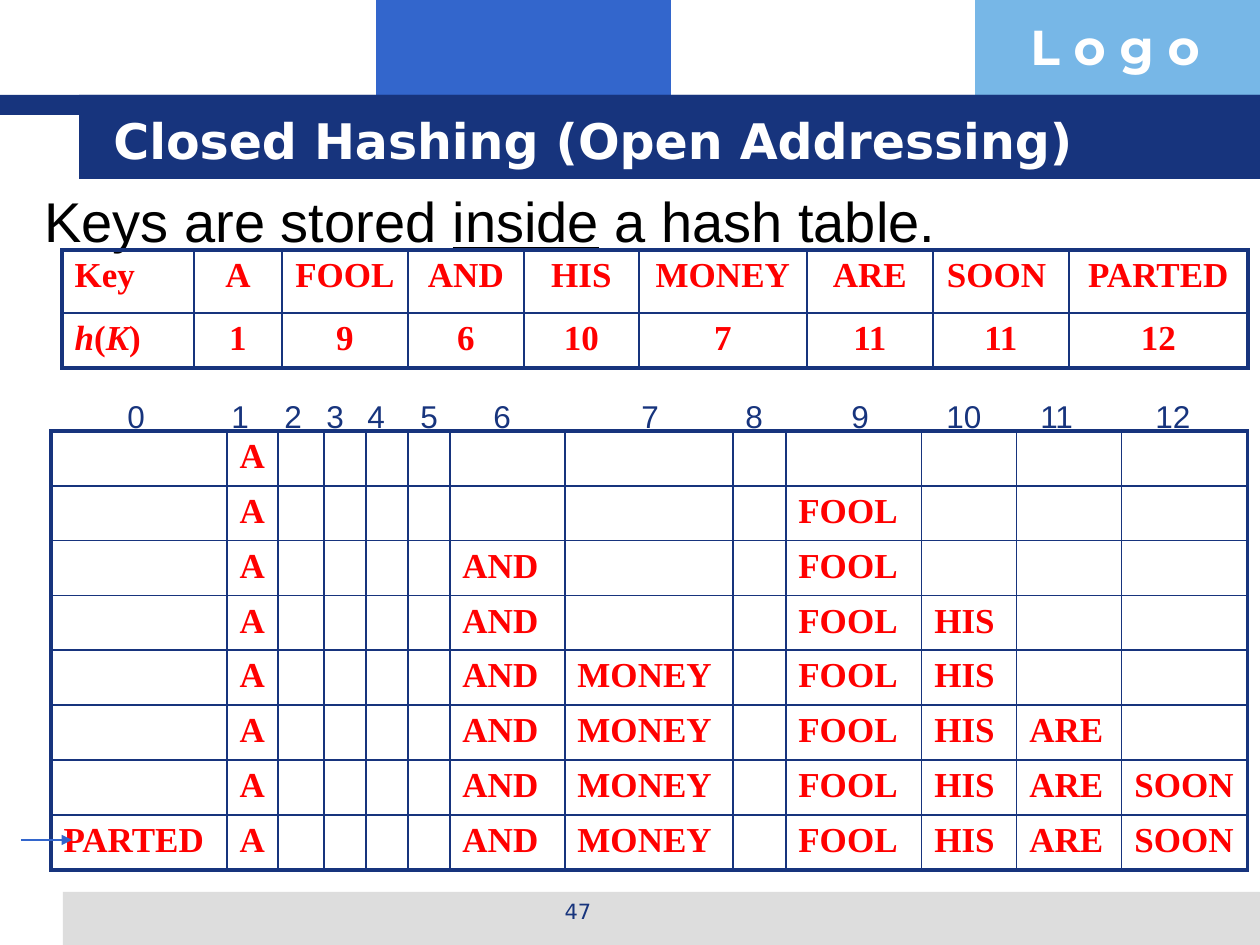
from dataclasses import dataclass

from lxml.etree import SubElement
from pptx import Presentation
from pptx.dml.color import RGBColor as Rgb
from pptx.enum.shapes import MSO_CONNECTOR as Connector, MSO_SHAPE as Shape
from pptx.enum.text import MSO_ANCHOR as Anchor, PP_ALIGN as Align
from pptx.oxml.ns import qn
from pptx.util import Emu, Pt


@dataclass(frozen=True)
class Theme:
    navy: str = "17347D"
    blue: str = "3366CC"
    sky: str = "77B7E7"
    grey: str = "DDDDDD"
    white: str = "FFFFFF"
    black: str = "000000"
    red: str = "FF0000"
    heading: str = "DejaVu Sans"
    logo: str = "Montserrat"
    body: str = "Arial"
    serif: str = "Times New Roman"
    title_size: int = 28
    body_size: int = 32
    cell_size: int = 20
    label_size: int = 18
    page_size: int = 12
    outer_line: float = 2.25
    inner_line: float = 1
    arrow_line: float = 0.75


THEME = Theme()
EMU_PER_PX = 914400 / 126
SLOTS = 13

HASHES = {"A": 1, "FOOL": 9, "AND": 6, "HIS": 10, "MONEY": 7,
          "ARE": 11, "SOON ": 11, "PARTED": 12}
KEY_COLUMNS = [132, 88, 126, 116, 115, 168, 126, 136, 179]
KEY_ROWS = [63, 55]
SLOT_COLUMNS = [176, 51, 46, 42, 42, 42, 115, 168, 53, 136, 95, 105, 126]
SLOT_ROWS = [55, 54, 55, 54, 55, 55, 54, 55]
LABEL_LEFTS = [115, 219, 272, 314, 355, 408, 481, 629, 733, 839, 934, 1028, 1143]


def px(length):
    return Emu(round(length * EMU_PER_PX))


def style(run, font, size, color, bold=False):
    run.font.name = font
    run.font.size = Pt(size)
    run.font.color.rgb = Rgb.from_string(color)
    run.font.bold = bold


def add_band(slide, left, top, width, height, color):
    band = slide.shapes.add_shape(Shape.RECTANGLE, *map(px, (left, top, width, height)))
    band.shadow.inherit = False
    band.fill.solid()
    band.fill.fore_color.rgb = Rgb.from_string(color)
    band.line.fill.background()


def add_text(slide, box, parts, font, size, color, bold=False,
             align=Align.LEFT, anchor=Anchor.TOP, top_inset=6):
    frame = slide.shapes.add_textbox(*map(px, box)).text_frame
    frame.word_wrap = True
    frame.vertical_anchor = anchor
    frame.margin_top = px(top_inset)
    paragraph = frame.paragraphs[0]
    paragraph.alignment = align
    for part in parts:
        run = paragraph.add_run()
        run.text = part
        style(run, font, size, color, bold)
    return paragraph


def set_borders(cell, widths):
    properties = cell._tc.get_or_add_tcPr()
    for side, width in zip(("lnL", "lnR", "lnT", "lnB"), widths):
        line = SubElement(properties, qn(f"a:{side}"), w=str(Pt(width)))
        fill = SubElement(line, qn("a:solidFill"))
        SubElement(fill, qn("a:srgbClr"), val=THEME.navy)


def fill_cell(cell, parts, align):
    paragraph = cell.text_frame.paragraphs[0]
    paragraph.alignment = align
    for part in parts:
        run = paragraph.add_run()
        run.text = part
        style(run, THEME.serif, THEME.cell_size, THEME.red, True)
        run.font.italic = part in ("h", "K")


def add_grid(slide, left, top, columns, rows, content, value_align):
    table = slide.shapes.add_table(
        len(rows), len(columns), px(left), px(top), px(sum(columns)), px(sum(rows))).table
    table.first_row = table.horz_banding = False
    for column, width in zip(table.columns, columns):
        column.width = px(width)
    for row, height in zip(table.rows, rows):
        row.height = px(height)
    last_row, last_column = len(rows) - 1, len(columns) - 1
    for r, values in enumerate(content):
        for c, parts in enumerate(values):
            cell = table.cell(r, c)
            edges = (c == 0, c == last_column, r == 0, r == last_row)
            set_borders(cell, [THEME.outer_line if edge else THEME.inner_line
                               for edge in edges])
            cell.fill.background()
            if parts:
                fill_cell(cell, parts, value_align if c else Align.LEFT)


def insertion_steps():
    slots = [[] for _ in range(SLOTS)]
    steps = []
    for key, slot in HASHES.items():
        while slots[slot]:
            slot = (slot + 1) % SLOTS
        slots[slot] = [key.strip()]
        steps.append(list(slots))
    return steps


def add_arrow(slide, start, end, y):
    arrow = slide.shapes.add_connector(Connector.STRAIGHT, px(start), px(y), px(end), px(y))
    arrow.line.color.rgb = Rgb.from_string(THEME.blue)
    arrow.line.width = Pt(THEME.arrow_line)
    SubElement(arrow.line._get_or_add_ln(), qn("a:tailEnd"), type="triangle")
    SubElement(arrow._element.spPr, qn("a:effectLst"))


def add_frame(slide):
    for band in (
        (376, 0, 295, 116, THEME.blue),
        (975, 0, 285, 116, THEME.sky),
        (63, 892, 1197, 53, THEME.grey),
        (0, 95, 1260, 20, THEME.navy),
        (79, 95, 1181, 84, THEME.navy),
    ):
        add_band(slide, *band)
    add_text(slide, (1018, 10, 242, 72), ["L o g o"],
             THEME.logo, THEME.title_size, THEME.white, True)
    add_text(slide, (431, 892, 294, 44), ["47"],
             THEME.heading, THEME.page_size, THEME.navy, align=Align.CENTER)


def main():
    deck = Presentation()
    deck.slide_width, deck.slide_height = px(1260), px(945)
    slide = deck.slides.add_slide(deck.slide_layouts[6])
    add_frame(slide)
    add_text(slide, (101, 101, 1075, 78), ["Closed Hashing (Open Addressing)"],
             THEME.heading, THEME.title_size, THEME.white, True, anchor=Anchor.MIDDLE)
    statement = add_text(slide, (32, 175, 1217, 675),
                         ["Keys are stored ", "inside", " a hash table."],
                         THEME.body, THEME.body_size, THEME.black, top_inset=11)
    statement.runs[1].font.underline = True

    add_grid(slide, 51, 431, SLOT_COLUMNS, SLOT_ROWS, insertion_steps(), Align.LEFT)
    key_row = [["Key"]] + [[key] for key in HASHES]
    hash_row = [["h", "(", "K", ")"]] + [[str(value)] for value in HASHES.values()]
    add_grid(slide, 62, 250, KEY_COLUMNS, KEY_ROWS, [key_row, hash_row], Align.CENTER)

    add_arrow(slide, 21, 72, 840)
    for slot, left in enumerate(LABEL_LEFTS):
        width = 53 if slot < 10 else 73
        add_text(slide, (left, 388, width, 52), [str(slot)],
                 THEME.body, THEME.label_size, THEME.navy, top_inset=9)
    deck.save("out.pptx")


if __name__ == "__main__":
    main()
